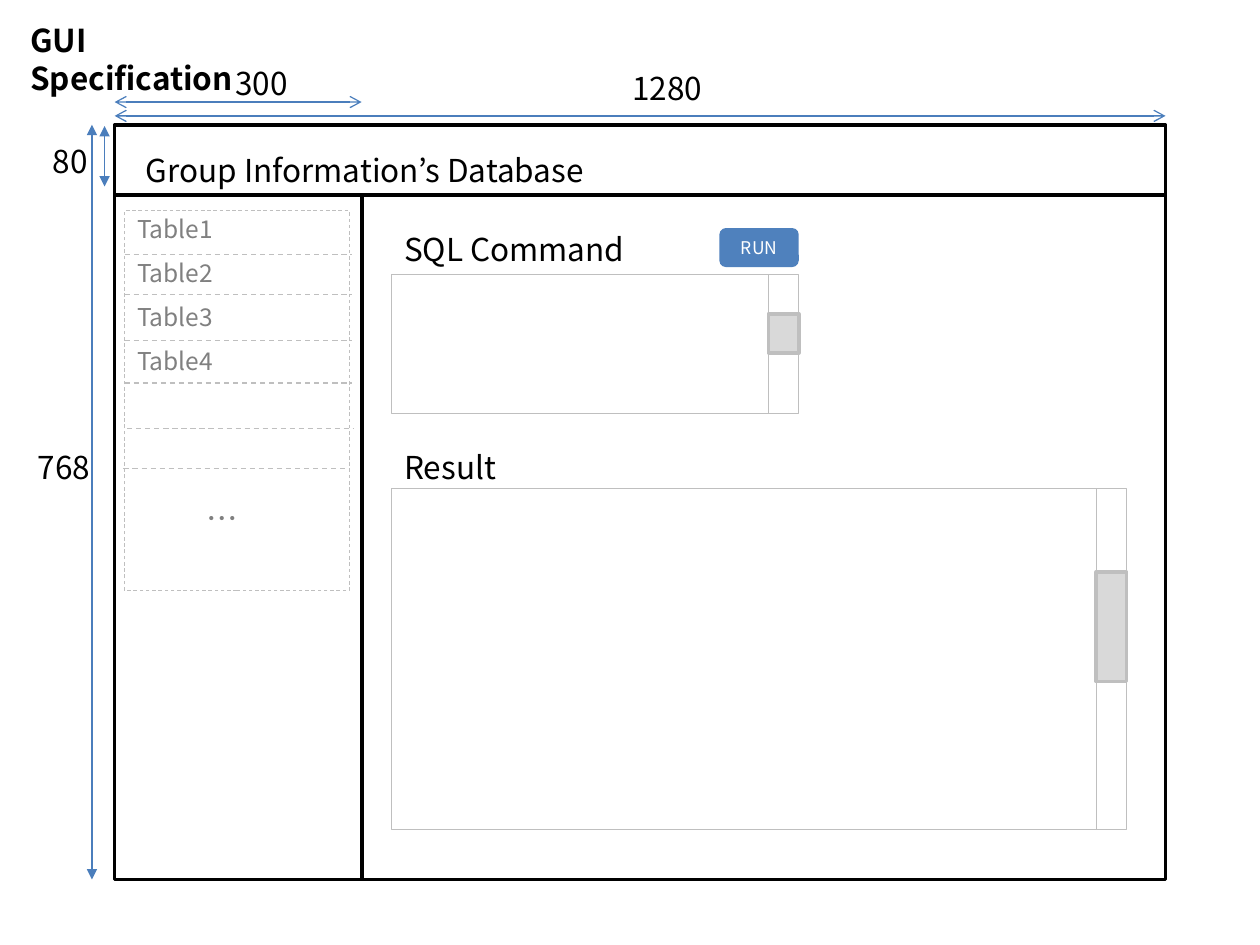
from typing import NamedTuple, Optional

from lxml import etree
from pptx import Presentation
from pptx.dml.color import RGBColor
from pptx.enum.dml import MSO_LINE_DASH_STYLE as DASH
from pptx.enum.shapes import MSO_CONNECTOR as CONN, MSO_SHAPE as SHAPE
from pptx.enum.text import MSO_ANCHOR as ANCHOR, MSO_AUTO_SIZE as FIT, PP_ALIGN as ALIGN
from pptx.oxml.ns import qn
from pptx.util import Inches, Pt

FONT = "Noto Sans CJK KR"
COLORS = {
    "ink": "000000", "muted": "808080", "border": "BFBFBF", "thumb": "D9D9D9",
    "button": "4F81BD", "arrow": "4B7EBC", "white": "FFFFFF",
}
LEFT, TOP, RIGHT, BOTTOM = 0.91, 0.99, 9.25, 6.98
HEADER_Y, SIDEBAR_X = 1.55, 2.87
SCROLL_W = 0.24


class Box(NamedTuple):
    """A rectangle with an outline and an optional fill."""
    x: float
    y: float
    w: float
    h: float
    line: Optional[str] = "border"
    weight: float = 0.5
    fill: Optional[str] = None
    dashed: bool = False


class Line(NamedTuple):
    """A straight line, with arrowheads at both ends if named."""
    x1: float
    y1: float
    x2: float
    y2: float
    color: str = "border"
    weight: float = 0.75
    dashed: bool = False
    heads: Optional[str] = None


class Label(NamedTuple):
    """A one-line text box."""
    text: str
    x: float
    y: float
    w: float
    h: float = 0.4
    size: int = 18
    color: str = "ink"


class Pane(NamedTuple):
    """A bordered area with a scroll bar on its right side."""
    y: float
    w: float
    h: float
    thumb_y: float
    thumb_h: float


def rgb(name: str) -> RGBColor:
    """Look up a colour by name."""
    return RGBColor.from_string(COLORS[name])


def add_run(tf, text: str, size: int, color: str, bold: bool = False) -> None:
    """Add a formatted run to the first paragraph."""
    r = tf.paragraphs[0].add_run()
    r.text = text
    r.font.name = FONT
    r.font.size = Pt(size)
    r.font.bold = bold
    r.font.color.rgb = rgb(color)
    etree.SubElement(r.font._element, qn("a:ea")).set("typeface", FONT)


def add_box(s, box: Box, kind=SHAPE.RECTANGLE):
    """Draw a box and return its shape."""
    sp = s.shapes.add_shape(kind, *map(Inches, box[:4]))
    sp.shadow.inherit = False
    if box.fill:
        sp.fill.solid()
        sp.fill.fore_color.rgb = rgb(box.fill)
    else:
        sp.fill.background()
    if box.line:
        sp.line.color.rgb = rgb(box.line)
        sp.line.width = Pt(box.weight)
        if box.dashed:
            sp.line.dash_style = DASH.DASH
    else:
        sp.line.fill.background()
    return sp


def add_line(s, line: Line) -> None:
    """Draw a straight line."""
    c = s.shapes.add_connector(CONN.STRAIGHT, *map(Inches, line[:4]))
    c.line.color.rgb = rgb(line.color)
    c.line.width = Pt(line.weight)
    if line.dashed:
        c.line.dash_style = DASH.DASH
    if line.heads:
        ln = c.line._get_or_add_ln()
        for end in ("a:headEnd", "a:tailEnd"):
            etree.SubElement(ln, qn(end)).set("type", line.heads)
    etree.SubElement(c._element.spPr, qn("a:effectLst"))


def add_label(s, label: Label) -> None:
    """Write a label in a wrapping text box."""
    sp = s.shapes.add_textbox(*map(Inches, label[1:5]))
    tf = sp.text_frame
    tf.word_wrap = True
    tf.auto_size = FIT.SHAPE_TO_FIT_TEXT
    add_run(tf, label.text, label.size, label.color)


def add_pane(s, pane: Pane, x: float = 3.11) -> None:
    """Draw a pane with its scroll bar and thumb."""
    bar_x = x + pane.w - SCROLL_W
    add_box(s, Box(x, pane.y, pane.w, pane.h))
    add_line(s, Line(bar_x, pane.y, bar_x, pane.y + pane.h))
    add_box(s, Box(bar_x, pane.thumb_y, SCROLL_W, pane.thumb_h, weight=2, fill="thumb"))


def add_title(s, text: str) -> None:
    """Place and format the title placeholder."""
    sp = s.shapes.title
    sp.left, sp.top, sp.width, sp.height = map(Inches, (0.14, 0.12, 2.28, 0.4))
    tf = sp.text_frame
    tf.word_wrap = True
    tf.auto_size = FIT.NONE
    tf.vertical_anchor = ANCHOR.TOP
    tf.paragraphs[0].alignment = ALIGN.LEFT
    add_run(tf, text, 18, "ink", bold=True)


def add_button(s, text: str) -> None:
    """Draw the rounded button."""
    sp = add_box(s, Box(5.71, 1.81, 0.63, 0.31, line=None, fill="button"),
                 SHAPE.ROUNDED_RECTANGLE)
    tf = sp.text_frame
    tf.vertical_anchor = ANCHOR.MIDDLE
    tf.paragraphs[0].alignment = ALIGN.CENTER
    add_run(tf, text, 10, "white")


FRAME = [
    Line(LEFT, HEADER_Y, RIGHT, HEADER_Y, "ink", 2.25),
    Line(SIDEBAR_X, HEADER_Y, SIDEBAR_X, BOTTOM, "ink", 2.25),
]
PANES = [Pane(2.18, 3.23, 1.1, 2.49, 0.31), Pane(3.88, 5.83, 2.7, 4.54, 0.87)]
ROW_LINES = [Line(x, y, x + 1.8, y, dashed=True) for x, y in (
    (0.99, 2.02), (0.99, 2.34), (0.99, 2.7), (0.99, 3.04), (1.01, 3.4), (0.98, 3.72))]
TABLES = [Label(f"Table{i + 1}", 0.99, 1.65 + 0.35 * i, 1.18, 0.34, 14, "muted")
          for i in range(4)]
DIMENSIONS = [
    Line(LEFT, 0.92, RIGHT, 0.92, "arrow", heads="arrow"),
    Line(LEFT, 0.81, SIDEBAR_X, 0.81, "arrow", heads="arrow"),
    Line(0.73, TOP, 0.73, BOTTOM, "arrow", heads="triangle"),
    Line(0.83, 1, 0.83, 1.48, "arrow", heads="triangle"),
]
LABELS = [
    Label("Group Information’s Database", 1.06, 1.15, 5.43),
    Label("SQL Command", 3.11, 1.78, 2.36),
    Label("Result", 3.11, 3.51, 2.36),
    Label("…", 1.54, 3.91, 0.79, color="muted"),
    Label("1280", 4.92, 0.5, 1.1),
    Label("300", 1.77, 0.46, 1.1),
    Label("768", 0.2, 3.51, 1.1),
    Label("80", 0.32, 1.08, 1.1),
]


def main() -> None:
    """Build the slide and save it."""
    prs = Presentation()
    prs.slide_width, prs.slide_height = Inches(10), Inches(7.5)
    s = prs.slides.add_slide(prs.slide_layouts[5])
    add_title(s, "GUI Specification")
    add_box(s, Box(LEFT, TOP, RIGHT - LEFT, BOTTOM - TOP, "ink", 2))
    for pane in PANES:
        add_pane(s, pane)
    add_box(s, Box(0.99, 1.67, 1.78, 3.02, dashed=True))
    for line in FRAME + ROW_LINES + DIMENSIONS:
        add_line(s, line)
    add_button(s, "RUN")
    for label in TABLES + LABELS:
        add_label(s, label)
    prs.save("out.pptx")


main()
